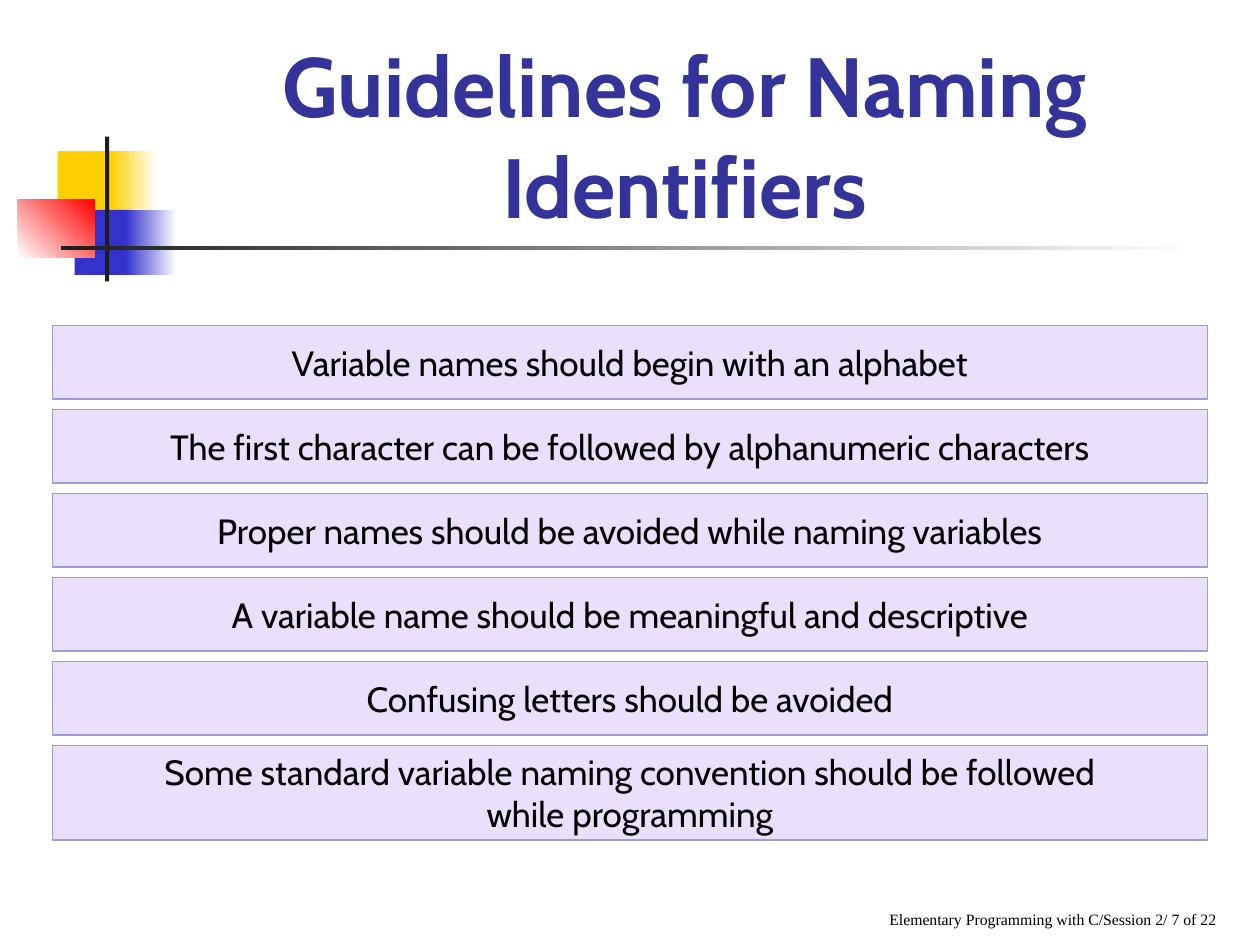
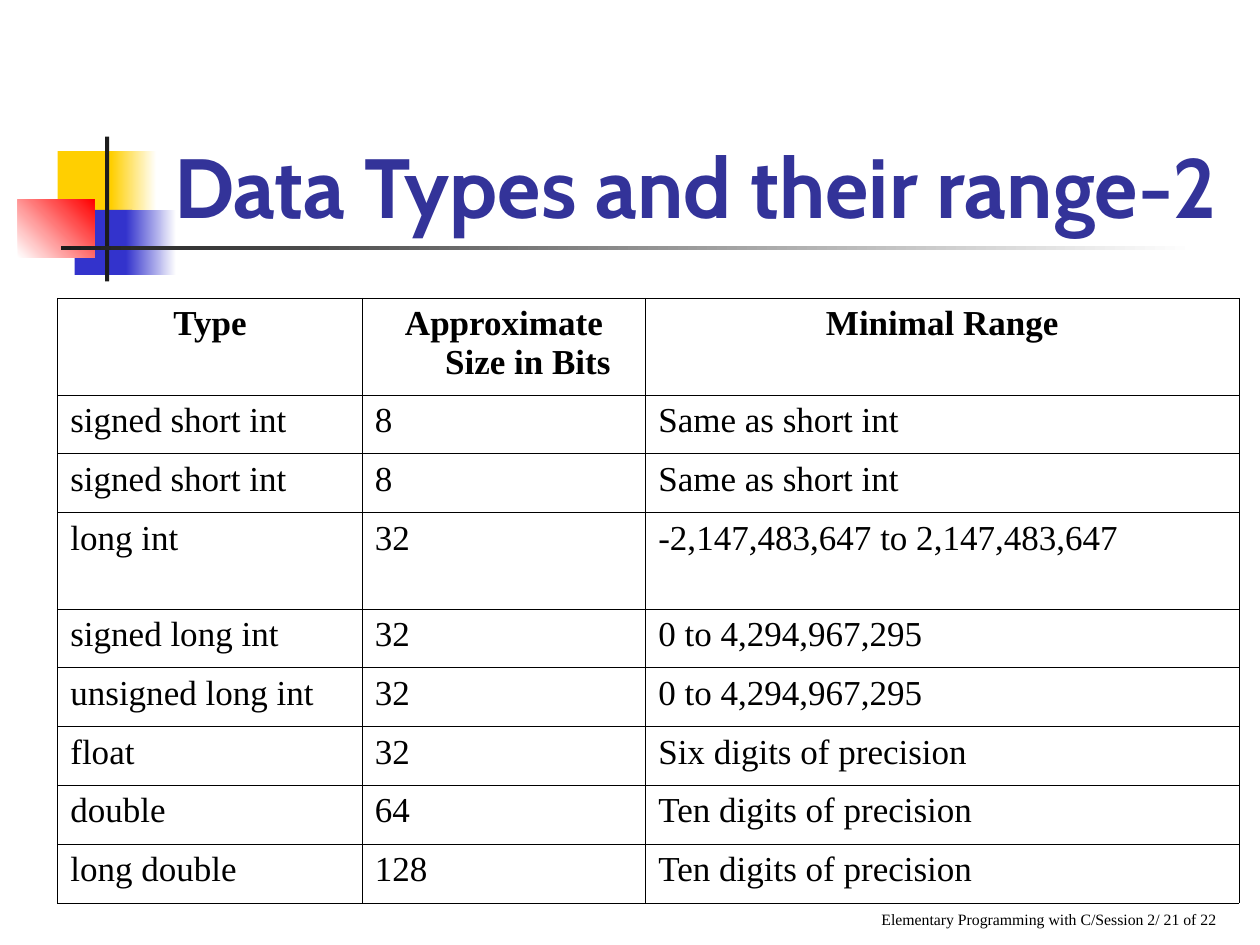
from functools import partial

from lxml.etree import SubElement
from pptx import Presentation
from pptx.dml.color import RGBColor
from pptx.enum.shapes import MSO_SHAPE as Shape
from pptx.enum.text import MSO_ANCHOR as Anchor, MSO_AUTO_SIZE as AutoSize, PP_ALIGN as Align
from pptx.oxml.ns import qn
from pptx.util import Inches, Pt

COLUMNS, ROWS = 120, 90
WIDTH, HEIGHT = Inches(10), Inches(7.5)

WHITE = RGBColor(0xFF, 0xFF, 0xFF)
BLACK = RGBColor(0x00, 0x00, 0x00)
YELLOW = RGBColor(0xFF, 0xCF, 0x01)
BLUE = RGBColor(0x33, 0x33, 0xCC)
RED = RGBColor(0xFF, 0x00, 0x00)
INK = RGBColor(0x1C, 0x1C, 0x1C)
NAVY = RGBColor(0x33, 0x33, 0x99)
LILAC = RGBColor(0xEB, 0xE0, 0xFC)
VIOLET = RGBColor(0x9C, 0x9C, 0xDC)

HEADING_FONT, BODY_FONT = "Cabin", "Times New Roman"

EMBLEM_BOX = (1.7, 13)
FOOTER_BOX = (44, 83, 73, 6)
BANDS_BOX = (5, 31, 110)
TABLE_BOX = (5.5, 28.4)

GUIDELINES = [
    ["Variable names should begin with an alphabet"],
    ["The first character can be followed by alphanumeric characters"],
    ["Proper names should be avoided while naming variables"],
    ["A variable name should be meaningful and descriptive"],
    ["Confusing letters should be avoided"],
    ["Some standard variable naming convention should be followed", "while programming"],
]

DATA_TYPES = [
    ("Type", "Approximate Size in Bits", "Minimal Range"),
    ("signed short int", "8", "Same as short int"),
    ("signed short int", "8", "Same as short int"),
    ("long int", "32", "-2,147,483,647 to 2,147,483,647"),
    ("signed long int", "32", "0 to 4,294,967,295"),
    ("unsigned long int", "32", "0 to 4,294,967,295"),
    ("float", "32", "Six digits of precision"),
    ("double", "64", "Ten digits of precision"),
    ("long double", "128", "Ten digits of precision"),
]
TYPE_COLUMNS = (29, 27, 56.5)
TALL_ROWS = (0, 3)


def across(columns):
    """Turn grid columns into a length."""
    return round(WIDTH * columns / COLUMNS)


def down(rows):
    """Turn grid rows into a length."""
    return round(HEIGHT * rows / ROWS)


def place(box):
    """Turn a grid box into left, top, width and height."""
    left, top, width, height = box
    return across(left), down(top), across(width), down(height)


def write(para, text, size, font, color=BLACK, bold=False, align=Align.CENTER):
    """Add one formatted run to a paragraph."""
    para.alignment = align
    span = para.add_run()
    span.text = text
    span.font.size, span.font.name, span.font.bold = Pt(size), font, bold
    span.font.color.rgb = color


def add_block(page, box, color):
    """Add a plain rectangle without a line or shadow."""
    block = page.shapes.add_shape(Shape.RECTANGLE, *place(box))
    block.shadow.inherit = False
    block.fill.solid()
    block.fill.fore_color.rgb = color
    block.line.fill.background()
    return block


def add_fade(page, box, start, end=WHITE, angle=0):
    """Add a rectangle that fades from one colour to another."""
    fill = add_block(page, box, start).fill
    fill.gradient()
    fill.gradient_angle = angle
    for stop, color in zip(fill.gradient_stops, (start, end)):
        stop.color.rgb = color


def add_emblem(page, box):
    """Draw the overlapping squares and the crossed rules."""
    left, top = box
    solid, fade = partial(add_block, page), partial(add_fade, page)

    def inside(x, y, width, height):
        """Shift a box to the corner of the emblem."""
        return left + x, top + y, width, height

    solid(inside(3.8, 1.4, 5.8, 6.2), YELLOW)
    fade(inside(8.9, 1.4, 4.3, 6.2), YELLOW)
    solid(inside(5.4, 7, 5.5, 6.2), BLUE)
    fade(inside(10.3, 7, 4.8, 6.2), BLUE)
    fade(inside(0, 6, 7.3, 5.5), WHITE, RED, 45)
    solid(inside(8.3, 0, 0.4, 13.8), INK)
    fade(inside(4.1, 10.4, 108, 0.4), INK)


def add_footer(page, box, number):
    """Write the session line at the lower right."""
    frame = page.shapes.add_textbox(*place(box)).text_frame
    frame.word_wrap = True
    frame.vertical_anchor = Anchor.BOTTOM
    text = f"Elementary Programming with C/Session 2/ {number} of 22"
    write(frame.paragraphs[0], text, 9, BODY_FONT, align=Align.RIGHT)


def set_title(page, box, text):
    """Move and format the title placeholder."""
    title = page.shapes.title
    title.left, title.top, title.width, title.height = place(box)
    frame = title.text_frame
    frame.word_wrap = True
    frame.auto_size = AutoSize.NONE
    frame.vertical_anchor = Anchor.BOTTOM
    write(frame.paragraphs[0], text, 48, HEADING_FONT, NAVY, bold=True)


def add_page(deck, title, title_box, number):
    """Add a slide with the emblem, footer and title."""
    page = deck.slides.add_slide(deck.slide_layouts.get_by_name("Title Only"))
    add_emblem(page, EMBLEM_BOX)
    add_footer(page, FOOTER_BOX, number)
    set_title(page, title_box, title)
    return page


def add_bands(page, box, guidelines):
    """Stack one band per guideline, taller where it has two lines."""
    left, top, width = box
    for lines in guidelines:
        height = 5 + 2 * len(lines)
        band = add_block(page, (left, top, width, height), LILAC)
        band.line.color.rgb = VIOLET
        band.line.width = Pt(0.75)
        frame = band.text_frame
        frame.word_wrap = False
        frame.vertical_anchor = Anchor.MIDDLE
        for index, line in enumerate(lines):
            para = frame.add_paragraph() if index else frame.paragraphs[0]
            write(para, line, 20, HEADING_FONT)
        top += height + 1


def add_borders(cell):
    """Draw a thin black line on each side of a cell."""
    properties = cell._tc.get_or_add_tcPr()
    for index, side in enumerate(("a:lnL", "a:lnR", "a:lnT", "a:lnB")):
        line = properties.makeelement(qn(side), w=str(Pt(0.45)))
        SubElement(SubElement(line, qn("a:solidFill")), qn("a:srgbClr"), val=str(BLACK))
        properties.insert(index, line)


def fill_cell(cell, text, heading):
    """Write a cell with a hanging indent."""
    cell.fill.solid()
    cell.fill.fore_color.rgb = WHITE
    add_borders(cell)
    para = cell.text_frame.paragraphs[0]
    hang = Inches(0.38)
    properties = para._p.get_or_add_pPr()
    properties.set("marL", str(hang))
    properties.set("indent", str(-hang))
    align = Align.CENTER if heading else Align.JUSTIFY
    write(para, text, 20, BODY_FONT, bold=heading, align=align)


def add_type_table(page, box, records):
    """Add the table of data types."""
    heights = [9.2 if row in TALL_ROWS else 5.6 for row in range(len(records))]
    area = place((*box, sum(TYPE_COLUMNS), sum(heights)))
    table = page.shapes.add_table(len(records), len(TYPE_COLUMNS), *area).table
    table.first_row = table.horz_banding = False
    for column, width in zip(table.columns, TYPE_COLUMNS):
        column.width = across(width)
    for index, (row, height, record) in enumerate(zip(table.rows, heights, records)):
        row.height = down(height)
        for cell, text in zip(row.cells, record):
            fill_cell(cell, text, heading=index == 0)


def main():
    """Build and save both slides."""
    deck = Presentation()
    deck.slide_width, deck.slide_height = WIDTH, HEIGHT
    page = add_page(deck, "Guidelines for Naming Identifiers", (13, 8, 104.4, 15), 7)
    add_bands(page, BANDS_BOX, GUIDELINES)
    page = add_page(deck, "Data Types and their range-2", (15.1, 8, 102.3, 15), 21)
    add_type_table(page, TABLE_BOX, DATA_TYPES)
    deck.save("out.pptx")


if __name__ == "__main__":
    main()
